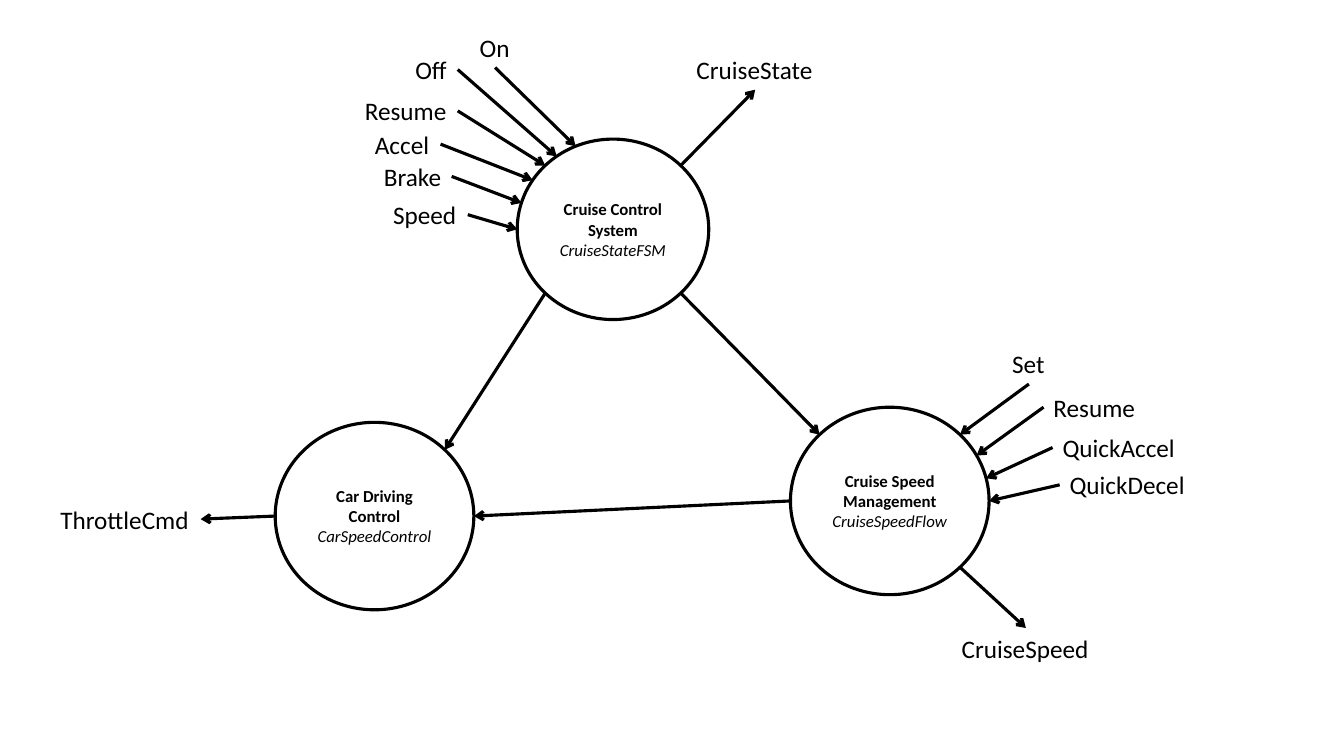
from math import cos, radians, sin

from lxml import etree
from pptx import Presentation
from pptx.dml.color import RGBColor
from pptx.enum.shapes import MSO_CONNECTOR, MSO_SHAPE
from pptx.enum.text import MSO_ANCHOR, MSO_AUTO_SIZE, PP_ALIGN
from pptx.oxml.ns import qn
from pptx.util import Emu, Pt

PX = 9144  # 100 px to the inch
STRAIGHT = MSO_CONNECTOR.STRAIGHT
OVAL = MSO_SHAPE.OVAL
MIDDLE = MSO_ANCHOR.MIDDLE
CENTER = PP_ALIGN.CENTER
GROW = MSO_AUTO_SIZE.SHAPE_TO_FIT_TEXT
COLORS = {"ink": "000000"}
FONT = "Calibri"
TAG_H = 40

# Circle boxes: left, top, width, height
STATE = (513, 138, 190, 179)
SPEED = (784, 404, 197, 186)
DRIVE = (273, 419, 197, 186)

# Signals: text, left, top, width, side the arrow meets, angle on the circle
STATE_IN = [
    ("On", 466, 27, 50, "bottom", 113),
    ("Off", 402, 49, 52, "right", 126),
    ("Resume", 352, 90, 102, "right", 135),
    ("Accel", 362, 123, 75, "right", 147),
    ("Brake", 371, 155, 77, "right", 163),
    ("Speed", 380, 193, 84, "right", 180),
]
STATE_OUT = [("CruiseState", 681, 49, 136, "bottom", 45)]
SPEED_IN = [
    ("Set", 994, 341, 53, "bottom", 45),
    ("Resume", 1035, 384, 102, "left", 29),
    ("QuickAccel", 1044, 424, 133, "left", 14),
    ("QuickDecel", 1051, 461, 136, "left", 0),
]
SPEED_OUT = [("CruiseSpeed", 944, 623, 147, "top", -45)]
DRIVE_OUT = [("ThrottleCmd", 50, 495, 149, "right", 180)]


def ink():
    return RGBColor.from_string(COLORS["ink"])


def px(*vals):
    return [Emu(round(v * PX)) for v in vals]


def style(run, size, bold=False, italic=False):
    font = run.font
    font.name, font.size = FONT, Pt(size)
    font.bold, font.italic = bold, italic
    font.color.rgb = ink()


def rim(box, angle):
    """Point on a circle's edge, counted anticlockwise from the right."""
    x, y, w, h = box
    turn = radians(angle)
    return x + w / 2 * (1 + cos(turn)), y + h / 2 * (1 - sin(turn))


def edge(box, side):
    """Middle of one side of a label box."""
    x, y, w, h = box
    return {
        "left": (x, y + h / 2),
        "right": (x + w, y + h / 2),
        "top": (x + w / 2, y),
        "bottom": (x + w / 2, y + h),
    }[side]


def arrow(slide, start, end):
    link = slide.shapes.add_connector(STRAIGHT, *px(*start, *end))
    link.line.color.rgb = ink()
    link.line.width = Pt(2.25)
    etree.SubElement(link.line._get_or_add_ln(), qn("a:tailEnd"), type="arrow")
    etree.SubElement(link._element.spPr, qn("a:effectLst"))


def label(slide, box, text):
    frame = slide.shapes.add_textbox(*px(*box)).text_frame
    frame.word_wrap = False
    frame.auto_size = GROW
    frame.text = text
    style(frame.paragraphs[0].runs[0], 18)


def circle(slide, box, title, task):
    shape = slide.shapes.add_shape(OVAL, *px(*box))
    shape.shadow.inherit = False
    shape.fill.background()
    shape.line.color.rgb = ink()
    shape.line.width = Pt(2.25)
    frame = shape.text_frame
    frame.word_wrap = True
    frame.vertical_anchor = MIDDLE
    frame.text = f"{title}\n{task}"
    head, foot = frame.paragraphs
    head.alignment = foot.alignment = CENTER
    style(head.runs[0], 12, bold=True)
    style(foot.runs[0], 12, italic=True)


def process(slide, box, title, task, inputs=(), outputs=()):
    """A circle with its labelled signals."""
    circle(slide, box, title, task)
    for group, inward in ((inputs, True), (outputs, False)):
        for text, x, y, w, side, angle in group:
            tag = (x, y, w, TAG_H)
            label(slide, tag, text)
            ends = edge(tag, side), rim(box, angle)
            arrow(slide, *(ends if inward else ends[::-1]))


def main():
    deck = Presentation()
    deck.slide_width, deck.slide_height = px(1333, 750)
    slide = deck.slides.add_slide(deck.slide_layouts[6])
    process(slide, STATE, "Cruise Control System", "CruiseStateFSM",
            STATE_IN, STATE_OUT)
    process(slide, SPEED, "Cruise Speed Management", "CruiseSpeedFlow",
            SPEED_IN, SPEED_OUT)
    process(slide, DRIVE, "Car Driving Control", "CarSpeedControl",
            outputs=DRIVE_OUT)
    arrow(slide, rim(STATE, 225), rim(DRIVE, 45))
    arrow(slide, rim(STATE, -45), rim(SPEED, 135))
    arrow(slide, rim(SPEED, 180), rim(DRIVE, 0))
    deck.save("out.pptx")


if __name__ == "__main__":
    main()
